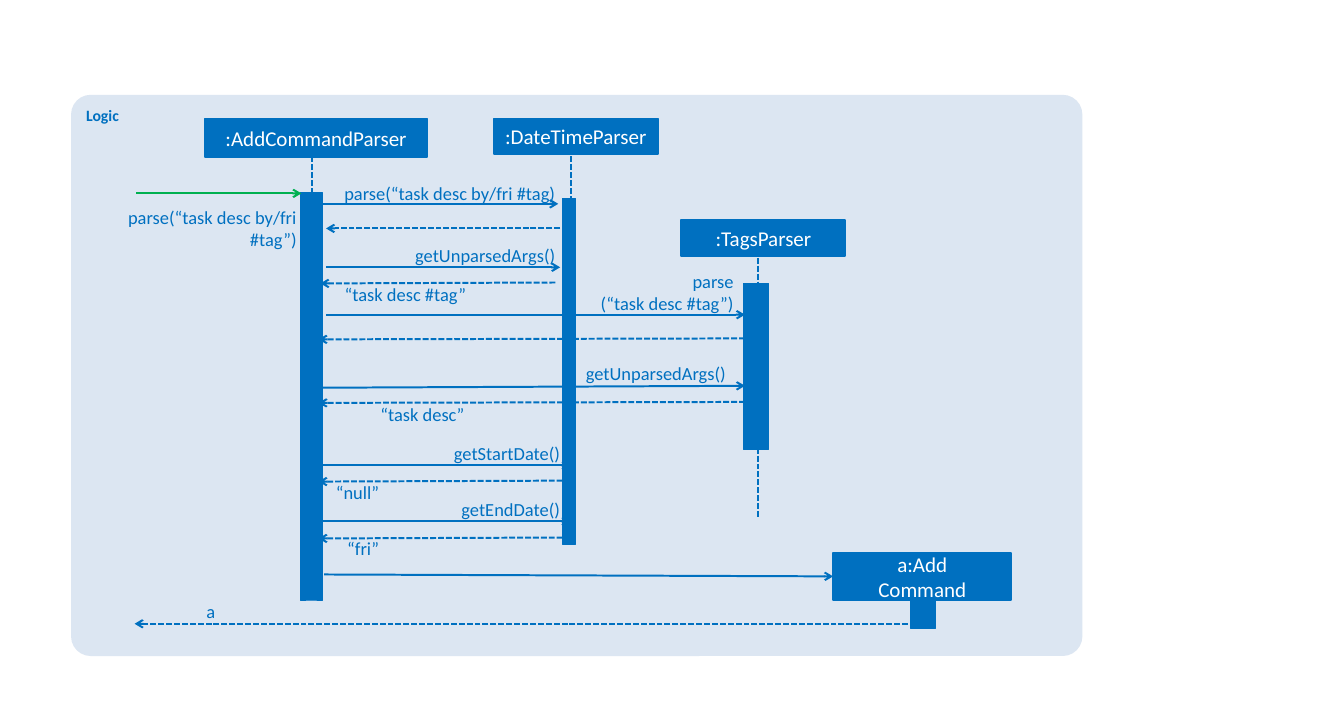
import pptx
import pptx.util
import pptx.dml.color
import pptx.enum.dml
import pptx.enum.shapes
import pptx.enum.text
import pptx.oxml.ns
import lxml.etree

Inches, Pt = pptx.util.Inches, pptx.util.Pt
RGB = pptx.dml.color.RGBColor
SHAPE = pptx.enum.shapes.MSO_SHAPE
ALIGN = pptx.enum.text.PP_ALIGN
ANCHOR = pptx.enum.text.MSO_ANCHOR
qn = pptx.oxml.ns.qn


class Theme:
    font = "Calibri"
    blue = RGB.from_string("0070C0")
    green = RGB.from_string("00B050")
    panel = RGB.from_string("DCE6F2")
    white = RGB.from_string("FFFFFF")
    panel_size, message_size, header_size = Pt(12), Pt(14), Pt(16)
    line, bar_line = Pt(1.5), Pt(0.75)


def write(frame, text, size=Theme.message_size, color=Theme.blue,
          align=ALIGN.RIGHT, anchor=ANCHOR.TOP, bold=False):
    frame.word_wrap = True
    frame.vertical_anchor = anchor
    frame.text = text
    for paragraph in frame.paragraphs:
        paragraph.alignment = align
        for run in paragraph.runs:
            run.font.name, run.font.size = Theme.font, size
            run.font.color.rgb, run.font.bold = color, bold


def draw_line(x1, y1, x2, y2, color=Theme.blue, dashed=False, arrow=True):
    line = slide.shapes.add_connector(
        pptx.enum.shapes.MSO_CONNECTOR.STRAIGHT,
        Inches(x1), Inches(y1), Inches(x2), Inches(y2))
    line.line.color.rgb = color
    line.line.width = Theme.line
    if dashed:
        line.line.dash_style = pptx.enum.dml.MSO_LINE.SQUARE_DOT
    if arrow:
        lxml.etree.SubElement(line.line._get_or_add_ln(), qn("a:tailEnd"), type="arrow")
    lxml.etree.SubElement(line._element.spPr, qn("a:effectLst"))
    return line


deck = pptx.Presentation()
deck.slide_width, deck.slide_height = Inches(14.18), Inches(7.5)
slide = deck.slides.add_slide(deck.slide_layouts[6])

# Logic panel
logic = slide.shapes.add_shape(SHAPE.ROUNDED_RECTANGLE, Inches(0.75), Inches(1),
                               Inches(10.67), Inches(5.92))
logic.adjustments[0] = 0.035
logic.shadow.inherit = False
logic.fill.solid()
logic.fill.fore_color.rgb = Theme.panel
logic.line.fill.background()
write(logic.text_frame, "Logic", size=Theme.panel_size, align=ALIGN.LEFT, bold=True)

# Lifelines
for x, top, bottom in [(3.29, 1.65, 4.49), (6.02, 1.65, 5.66), (8, 2.72, 5.47)]:
    draw_line(x, top, x, bottom, dashed=True, arrow=False)

# Participants: header box, then activation bar
participants = [
    (":AddCommandParser", (2.16, 1.25, 2.35, 0.41), (3.17, 2.03, 0.23, 4.3)),
    (":DateTimeParser", (5.21, 1.25, 1.73, 0.38), (5.94, 2.09, 0.13, 3.65)),
    (":TagsParser", (7.19, 2.32, 1.73, 0.38), (7.84, 2.99, 0.27, 1.75)),
    ("a:Add\vCommand", (8.79, 5.83, 1.88, 0.5), (9.61, 6.33, 0.26, 0.3)),
]
headers = {}
for name, header_box, bar_box in participants:
    for box, width in [(header_box, Theme.line), (bar_box, Theme.bar_line)]:
        part = slide.shapes.add_shape(SHAPE.RECTANGLE, *map(Inches, box))
        part.shadow.inherit = False
        part.fill.solid()
        part.fill.fore_color.rgb = Theme.blue
        part.line.color.rgb = Theme.blue
        part.line.width = width
        if box is header_box:
            headers[name] = part
            write(part.text_frame, name, size=Theme.header_size, color=Theme.white,
                  align=ALIGN.CENTER, anchor=ANCHOR.MIDDLE)

# Calls
draw_line(1.44, 2.04, 3.18, 2.04, color=Theme.green)
for call in [
    (3.41, 2.15, 5.89, 2.15),
    (3.44, 2.82, 5.91, 2.82),
    (3.44, 3.32, 7.86, 3.32),
    (3.41, 4.09, 7.86, 4.07),
    (3.36, 4.91, 6.02, 4.91),
    (3.36, 5.5, 6.02, 5.5),
]:
    draw_line(*call)
create_command = draw_line(3.42, 6.06, 8.79, 6.08)
create_command.end_connect(headers["a:Add\vCommand"], 1)

# Returns
for reply in [
    (5.91, 2.41, 3.44, 2.41),
    (5.86, 2.98, 3.38, 2.99),
    (7.86, 3.57, 3.36, 3.58),
    (7.86, 4.24, 3.36, 4.25),
    (6.02, 5.07, 3.36, 5.08),
    (6.02, 5.67, 3.36, 5.68),
    (9.66, 6.58, 1.42, 6.58),
]:
    draw_line(*reply, dashed=True)

# Message labels
for text, x, y, width, height in [
    ("parse(“task desc by/fri #tag”)", 0.92, 2.17, 2.21, 0.47),
    ("parse(“task desc by/fri #tag)", 3.39, 1.92, 2.47, 0.24),
    ("getUnparsedArgs()", 4.22, 2.57, 1.64, 0.24),
    ("“task desc #tag”", 3.52, 2.99, 1.4, 0.24),
    ("parse\n(“task desc #tag”)", 6.19, 2.85, 1.55, 0.47),
    ("getUnparsedArgs()", 6.02, 3.82, 1.64, 0.24),
    ("“task desc”", 3.5, 4.25, 1.4, 0.24),
    ("getStartDate()", 4.27, 4.66, 1.64, 0.24),
    ("“null”", 3.52, 5.07, 0.48, 0.24),
    ("getEndDate()", 4.27, 5.25, 1.64, 0.24),
    ("“fri”", 3.52, 5.67, 0.48, 0.24),
    ("a", 2.09, 6.33, 0.18, 0.24),
]:
    message = slide.shapes.add_textbox(Inches(x), Inches(y), Inches(width),
                                       Inches(height)).text_frame
    message.margin_left = message.margin_right = Inches(0)
    message.margin_top = message.margin_bottom = Inches(0)
    message.auto_size = pptx.enum.text.MSO_AUTO_SIZE.SHAPE_TO_FIT_TEXT
    write(message, text)

deck.save("out.pptx")
